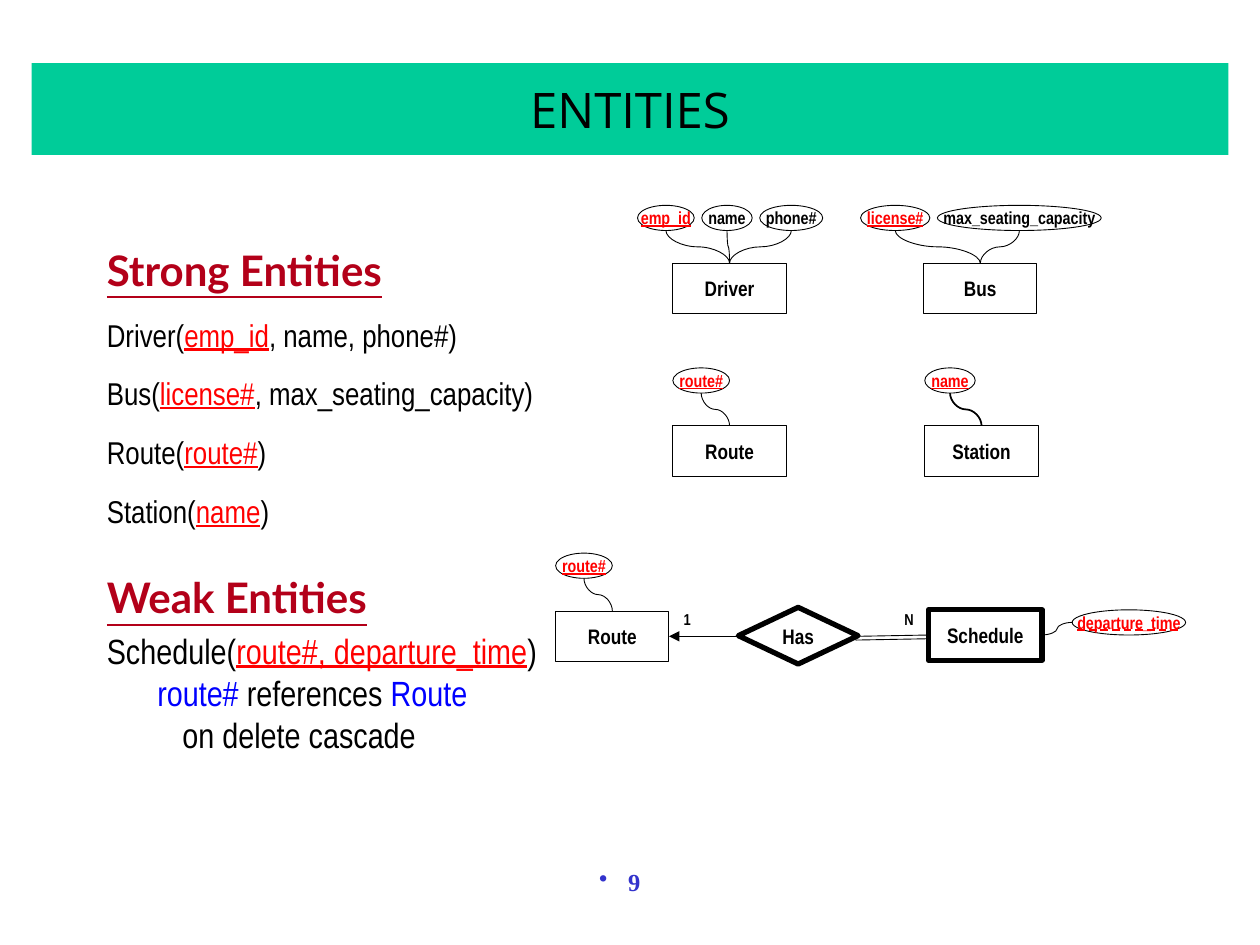
"""Build the ENTITIES slide: schemas on the left, entity-relationship diagrams on the right."""
from lxml.etree import SubElement
from pptx import Presentation
from pptx.dml.color import RGBColor as RGB
from pptx.enum.shapes import MSO_CONNECTOR as LINK, MSO_SHAPE as SHAPE
from pptx.enum.text import MSO_ANCHOR as ANCHOR, MSO_UNDERLINE as UL, PP_ALIGN as ALIGN
from pptx.oxml.ns import qn
from pptx.util import Inches, Pt

BLACK, RED, BLUE = "000000", "FF0000", "0000FF"
NARROW = "Arial Narrow"
THEME = {
    "title": dict(name="Open Sans", size=28, color=BLACK),
    "head": dict(name="Lato", size=24, color="B30019", bold=True, underline=True),
    "schema": dict(name=NARROW, size=18, color=BLACK),
    "weak": dict(name=NARROW, size=20, color=BLACK),
    "entity": dict(name=NARROW, size=12, color=BLACK, bold=True),
    "attr": dict(name=NARROW, size=10, color=BLACK, bold=True),
    "ratio": dict(name=NARROW, size=9, color=BLACK, bold=True),
    "page": dict(name="Times New Roman", size=14, color="3333CC", bold=True),
}
KEY = dict(color=RED, underline=True)
PARTIAL = dict(color=RED, underline=UL.DASH_LINE)
REF = dict(color=BLUE)
BAR = "00CC99"
THIN, MEDIUM, THICK = 0.5, 1, 3

BODY = [
    ("head", 0, 0, ["Strong Entities"]),
    ("schema", 12, 0, ["Driver(", ("emp_id", KEY), ", name, phone#)"]),
    ("schema", 12, 0, ["Bus(", ("license#", KEY), ", max_seating_capacity)"]),
    ("schema", 12, 0, ["Route(", ("route#", KEY), ")"]),
    ("schema", 12, 0, ["Station(", ("name", KEY), ")"]),
    ("head", 24, 0, ["Weak Entities"]),
    ("weak", 4, 0, ["Schedule(", ("route#, departure_time", KEY), ")"]),
    ("weak", 0, 0.4, [("route#", REF), " references ", ("Route", REF)]),
    ("weak", 0, 0.6, ["on delete cascade"]),
]
ENTITIES = [
    ("Driver", 5.34, 2.09, 5.06, THIN, [("emp_id", 0.45, KEY), ("name", 0.4, {}), ("phone#", 0.5, {})]),
    ("Bus", 7.33, 2.09, 6.83, THIN, [("license#", 0.55, KEY), ("max_seating_capacity", 1.3, {})]),
    ("Route", 5.34, 3.38, 5.34, THIN, [("route#", 0.45, KEY)]),
    ("Station", 7.34, 3.38, 7.34, MEDIUM, [("name", 0.4, KEY)]),
    ("Route", 4.41, 4.85, 4.41, THIN, [("route#", 0.45, KEY)]),
]
RATIOS = [("1", 5.31), ("N", 7.07)]
BOX_W, BOX_H, OVAL_H, OVAL_RISE, GAP = 0.9, 0.4, 0.2, 0.46, 0.06


def inches(*values):
    return [Inches(v) for v in values]


def write(p, parts, style):
    for part in parts:
        text, extra = part if isinstance(part, tuple) else (part, {})
        fmt = {**THEME[style], **extra}
        r = p.add_run()
        r.text = text
        r.font.color.rgb = RGB.from_string(fmt.pop("color"))
        r.font.size = Pt(fmt.pop("size"))
        for name, value in fmt.items():
            setattr(r.font, name, value)


def text_box(at, parts, style):
    tf = s.shapes.add_textbox(*inches(*at)).text_frame
    tf.word_wrap = True
    p = tf.paragraphs[0]
    p.alignment = ALIGN.CENTER
    write(p, parts, style)
    return p


def node(kind, at, text, style, extra={}, weight=THIN):
    sp = s.shapes.add_shape(kind, *inches(*at))
    sp.shadow.inherit = False
    sp.fill.solid()
    sp.fill.fore_color.rgb = RGB.from_string("FFFFFF")
    sp.line.color.rgb = RGB.from_string(BLACK)
    sp.line.width = Pt(weight)
    tf = sp.text_frame
    tf.word_wrap, tf.vertical_anchor = False, ANCHOR.MIDDLE
    tf.paragraphs[0].alignment = ALIGN.CENTER
    write(tf.paragraphs[0], [(text, extra)], style)


def link(kind, x1, y1, x2, y2, weight=THIN, arrow=False):
    c = s.shapes.add_connector(kind, *inches(x1, y1, x2, y2))
    c.line.color.rgb = RGB.from_string(BLACK)
    c.line.width = Pt(weight)
    if arrow:
        SubElement(c.line._get_or_add_ln(), qn("a:tailEnd"), type="triangle")
    SubElement(c._element.spPr, qn("a:effectLst"))
    return c


def rising_curve(x1, y1, x2, y2, weight):
    c = link(LINK.CURVE, x1, y1, x2, y2, weight)
    w, h = abs(y2 - y1), abs(x2 - x1)
    c.left, c.top, c.width, c.height = inches((x1 + x2 - w) / 2, (y1 + y2 - h) / 2, w, h)
    xfrm = c._element.spPr.find(qn("a:xfrm"))
    rightward = x2 > x1
    for name, value in dict(rot=90 if rightward else 270, flipH=int(rightward), flipV=1).items():
        xfrm.set(name, str(value * 60000 if name == "rot" else value))


prs = Presentation()
prs.slide_width, prs.slide_height = inches(10, 7.5)
s = prs.slides.add_slide(prs.slide_layouts[5])

title = s.shapes.title
title.left, title.top, title.width, title.height = inches(0.25, 0.5, 9.5, 0.73)
title.fill.solid()
title.fill.fore_color.rgb = RGB.from_string(BAR)
title.text_frame.vertical_anchor = ANCHOR.MIDDLE
title.text_frame.paragraphs[0].alignment = ALIGN.CENTER
write(title.text_frame.paragraphs[0], ["ENTITIES"], "title")

tf = s.shapes.add_textbox(*inches(0.75, 1.89, 8.5, 4.5)).text_frame
tf.word_wrap = True
for i, (style, before, indent, parts) in enumerate(BODY):
    p = tf.add_paragraph() if i else tf.paragraphs[0]
    p.space_before = Pt(before)
    p._p.get_or_add_pPr().set("marL", str(Inches(indent)))
    write(p, parts, style)

for name, left, top, x, weight, attrs in ENTITIES:
    node(SHAPE.RECTANGLE, (left, top, BOX_W, BOX_H), name, "entity")
    for label, width, extra in attrs:
        oval_top = top - OVAL_RISE
        rising_curve(left + BOX_W / 2, top, x + width / 2, oval_top + OVAL_H, weight)
        node(SHAPE.OVAL, (x, oval_top, width, OVAL_H), label, "attr", extra)
        x += width + GAP

link(LINK.STRAIGHT, 5.86, 5.05, 5.31, 5.05, arrow=True)
for x1, x2, y in [(7.37, 6.81, 5.04), (7.35, 6.79, 5.07)]:
    link(LINK.STRAIGHT, x1, y, x2, y + 0.01)
link(LINK.CURVE, 8.27, 5.04, 8.51, 4.94)
node(SHAPE.DIAMOND, (5.86, 4.82, 0.95, 0.45), "Has", "entity", weight=THICK)
node(SHAPE.RECTANGLE, (7.37, 4.84, BOX_W, BOX_H), "Schedule", "entity", weight=THICK)
node(SHAPE.OVAL, (8.51, 4.84, 0.9, OVAL_H), "departure_time", "attr", PARTIAL)
for label, x in RATIOS:
    text_box((x, 4.79, 0.29, 0.25), [label], "ratio")

pPr = text_box((0.42, 6.83, 9, 0.5), ["9"], "page")._p.get_or_add_pPr()
for name, value in dict(marL=0.23, indent=-0.23).items():
    pPr.set(name, str(Inches(value)))
SubElement(pPr, qn("a:buChar"), char="•")

prs.save("out.pptx")
